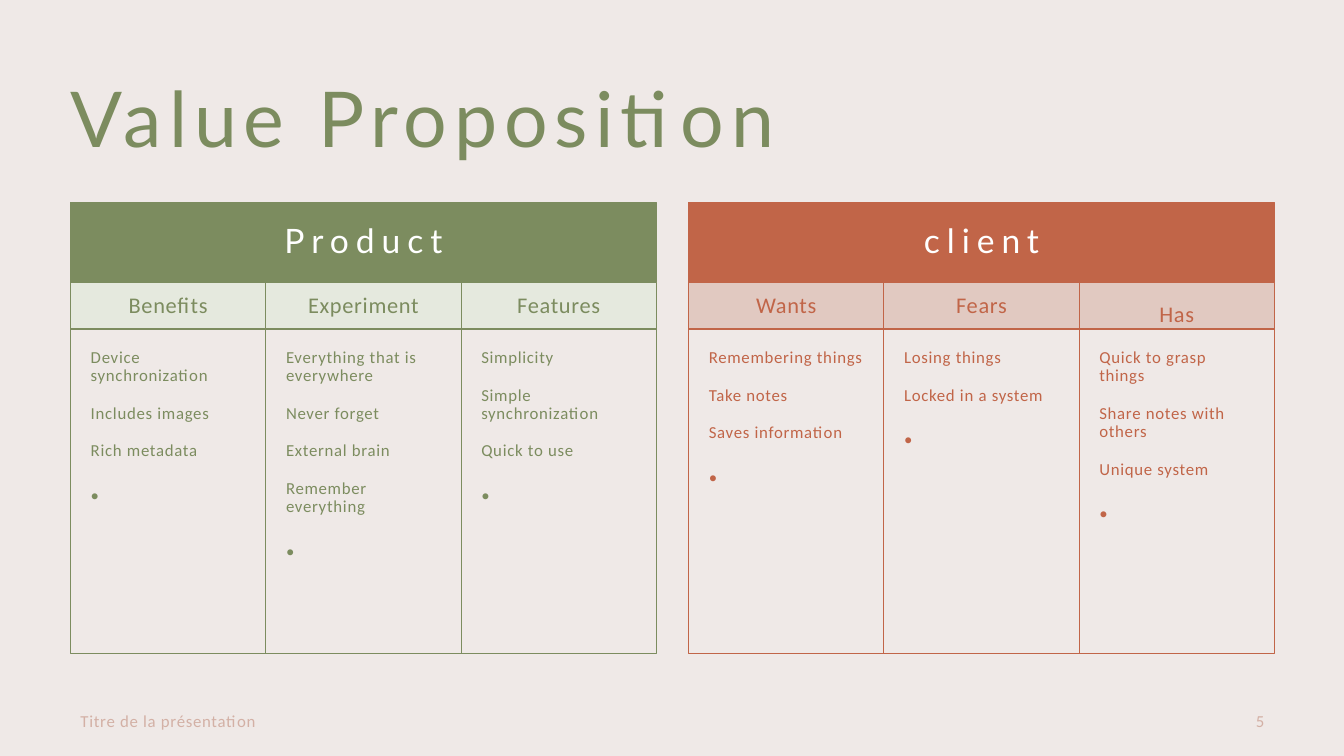
from pptx import Presentation, util as u
from pptx.dml.color import RGBColor
from pptx.enum import shapes, text

CREAM = RGBColor(0xEF, 0xE9, 0xE7)
WHITE = RGBColor(0xFF, 0xFF, 0xFF)
GREEN = RGBColor(0x7C, 0x8C, 0x5F)
PALE_GREEN = RGBColor(0xE5, 0xE9, 0xDE)
RUST = RGBColor(0xC1, 0x65, 0x48)
PALE_RUST = RGBColor(0xE1, 0xC9, 0xC1)
ROSE = RGBColor(0xD3, 0xB0, 0xA5)

LEFT, CENTER, RIGHT = text.PP_ALIGN.LEFT, text.PP_ALIGN.CENTER, text.PP_ALIGN.RIGHT
TOP, MIDDLE = text.MSO_ANCHOR.TOP, text.MSO_ANCHOR.MIDDLE

PANEL_WIDTH = 5.81
COLUMN_WIDTH = PANEL_WIDTH / 3
PANELS = [
    (0.7, "Product", GREEN, PALE_GREEN, [
        ("Benefits", ["Device synchronization", "Includes images", "Rich metadata"]),
        ("Experiment", ["Everything that is everywhere", "Never forget",
                        "External brain", "Remember everything"]),
        ("Features", ["Simplicity", "Simple synchronization", "Quick to use"]),
    ]),
    (6.83, "client", RUST, PALE_RUST, [
        ("Wants", ["Remembering things", "Take notes", "Saves information"]),
        ("Fears", ["Losing things", "Locked in a system"]),
        ("Has", ["Quick to grasp things", "Share notes with others", "Unique system"]),
    ]),
]


class ValueSlide:
    """Draws the boxes and texts of a value proposition slide."""

    def __init__(self, slide):
        self.slide = slide
        slide.background.fill.solid()
        slide.background.fill.fore_color.rgb = CREAM

    def set_words(self, holder, lines, size, color, font="Calibri", tracking=0.5,
                  align=LEFT, anchor=MIDDLE, insets=(0, 0, 0, 0), spacing=0.9):
        frame = holder.text_frame
        frame.word_wrap = True
        frame.vertical_anchor = anchor
        (frame.margin_left, frame.margin_top,
         frame.margin_right, frame.margin_bottom) = map(u.Inches, insets)
        frame.text = "\n".join(lines)
        for index, paragraph in enumerate(frame.paragraphs):
            paragraph.alignment = align
            paragraph.line_spacing = spacing
            paragraph.space_before = u.Pt(14 if index else 0)
            for run in paragraph.runs:
                run.font.size = u.Pt(size)
                run.font.name = font
                run.font.color.rgb = color
                run.font._element.set("spc", str(int(tracking * 100)))
        return frame

    def label(self, at, words, size, color, **style):
        box = self.slide.shapes.add_textbox(*map(u.Inches, at))
        self.set_words(box, [words], size, color, **style)

    def box(self, at, line, fill=None):
        rect = self.slide.shapes.add_shape(shapes.MSO_SHAPE.RECTANGLE, *map(u.Inches, at))
        rect.shadow.inherit = False
        rect.line.color.rgb = line
        rect.line.width = u.Pt(0.75)
        if fill is None:
            rect.fill.background()
        else:
            rect.fill.solid()
            rect.fill.fore_color.rgb = fill
        return rect

    def column(self, left, heading, items, color, tint):
        head = self.box((left, 2.8, COLUMN_WIDTH, 0.47), color, tint)
        insets = (0.1, 0.18, 0.1, 0) if heading == "Has" else (0.1, 0.1, 0.1, 0.1)
        self.set_words(head, [heading], 16, color, align=CENTER, insets=insets)
        body = self.box((left, 3.26, COLUMN_WIDTH, 3.22), color)
        frame = self.set_words(body, items + ["•"], 12, color, anchor=TOP,
                               insets=(0.2, 0.2, 0.2, 0.2))
        closing = frame.paragraphs[-1]
        closing.line_spacing = 1.5
        closing.space_before = u.Pt(10)

    def panel(self, left, name, color, tint, columns):
        banner = self.box((left, 2.01, PANEL_WIDTH, 0.79), color, color)
        self.set_words(banner, [name], 24, WHITE, font="Lato", tracking=5, align=CENTER)
        for index, (heading, items) in enumerate(columns):
            self.column(left + index * COLUMN_WIDTH, heading, items, color, tint)


def main():
    deck = Presentation()
    deck.slide_width, deck.slide_height = u.Inches(13.33), u.Inches(7.5)
    page = ValueSlide(deck.slides.add_slide(deck.slide_layouts[6]))
    page.label((0.7, 0.7, 11.94, 1.3), "Value Proposition", 55, GREEN,
               font="Lato", tracking=5, anchor=TOP, spacing=1.0)
    for panel in PANELS:
        page.panel(*panel)
    footer_insets = (0.1, 0.05, 0.1, 0.05)
    page.label((0.7, 6.95, 4.5, 0.4), "Titre de la présentation", 12, ROSE,
               insets=footer_insets, spacing=1.0)
    page.label((9.64, 6.95, 3, 0.4), "5", 12, ROSE, align=RIGHT,
               insets=footer_insets, spacing=1.0)
    deck.save("out.pptx")


if __name__ == "__main__":
    main()
